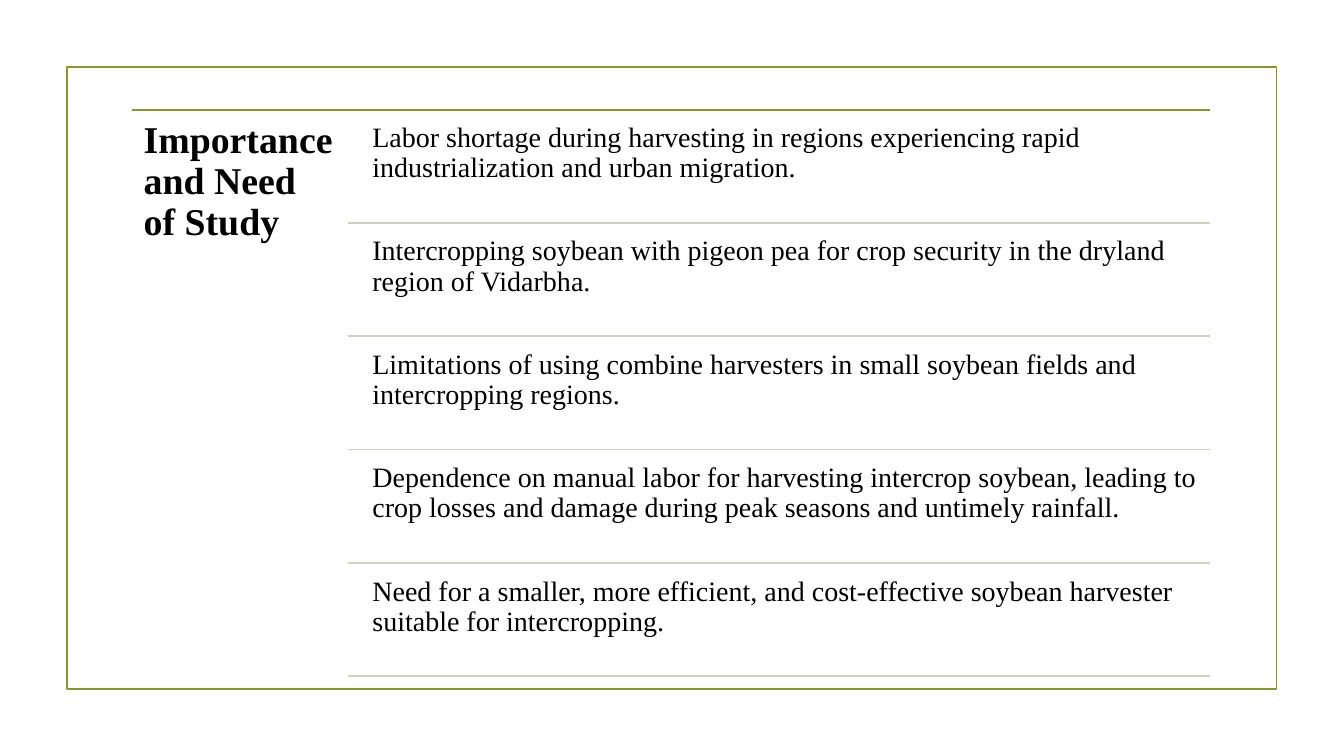
from lxml.etree import SubElement
from pptx import Presentation
from pptx.dml.color import RGBColor
from pptx.enum.shapes import MSO_CONNECTOR, MSO_SHAPE
from pptx.enum.text import MSO_ANCHOR, PP_ALIGN
from pptx.oxml.ns import qn
from pptx.util import Pt

TITLE = "Importance and Need of Study"
REASONS = [
    "Labor shortage during harvesting in regions experiencing rapid industrialization and urban migration.",
    "Intercropping soybean with pigeon pea for crop security in the dryland region of Vidarbha.",
    "Limitations of using combine harvesters in small soybean fields and intercropping regions.",
    "Dependence on manual labor for harvesting intercrop soybean, leading to crop losses and damage "
    "during peak seasons and untimely rainfall.",
    "Need for a smaller, more efficient, and cost-effective soybean harvester suitable for intercropping.",
]

FONT = "Times New Roman"
BLACK = RGBColor(0x00, 0x00, 0x00)
GREEN = RGBColor(0x83, 0x99, 0x2A)
PALE_GREEN = RGBColor(0xCD, 0xD4, 0xBE)
RULE_WIDTH = 1.25

# Lengths in points
LEFT, TOP, RIGHT = 94.5, 78.5, 864
TITLE_WIDTH, TITLE_HEIGHT = 154, 409
RULE_LEFT = LEFT + TITLE_WIDTH
REASON_LEFT = 260
REASON_TOP, REASON_HEIGHT, ROW_PITCH = 82.1, 77, 81


def add_rule(slide, left, y, color):
    rule = slide.shapes.add_connector(
        MSO_CONNECTOR.STRAIGHT, Pt(left), Pt(y), Pt(RIGHT), Pt(y))
    rule.line.color.rgb = color
    rule.line.width = Pt(RULE_WIDTH)
    SubElement(rule._element.spPr, qn("a:effectLst"))


def add_text(slide, text, left, top, width, height, inset, size, bold=False):
    box = slide.shapes.add_textbox(Pt(left), Pt(top), Pt(width), Pt(height))
    frame = box.text_frame
    frame.word_wrap = True
    frame.vertical_anchor = MSO_ANCHOR.TOP
    frame.margin_left = frame.margin_right = Pt(inset)
    frame.margin_top = frame.margin_bottom = Pt(inset)
    frame.text = text
    paragraph = frame.paragraphs[0]
    paragraph.alignment = PP_ALIGN.LEFT
    paragraph.line_spacing = 0.9
    font = paragraph.runs[0].font
    font.name, font.size, font.bold = FONT, Pt(size), bold
    font.color.rgb = BLACK


def main():
    prs = Presentation()
    prs.slide_width, prs.slide_height = Pt(960), Pt(540)
    slide = prs.slides.add_slide(prs.slide_layouts[6])

    border = slide.shapes.add_shape(
        MSO_SHAPE.RECTANGLE, Pt(47.8), Pt(48), Pt(864), Pt(444))
    border.shadow.inherit = False
    border.fill.background()
    border.line.color.rgb = GREEN
    border.line.width = Pt(RULE_WIDTH)

    add_rule(slide, LEFT, TOP, GREEN)
    add_text(slide, TITLE, LEFT, TOP, TITLE_WIDTH, TITLE_HEIGHT, 8.1, 27, bold=True)

    for row, reason in enumerate(REASONS):
        top = REASON_TOP + row * ROW_PITCH
        add_text(slide, reason, REASON_LEFT, top, RIGHT - REASON_LEFT,
                 REASON_HEIGHT, 6, 20)
        add_rule(slide, RULE_LEFT, top + REASON_HEIGHT, PALE_GREEN)

    prs.save("out.pptx")


if __name__ == "__main__":
    main()
